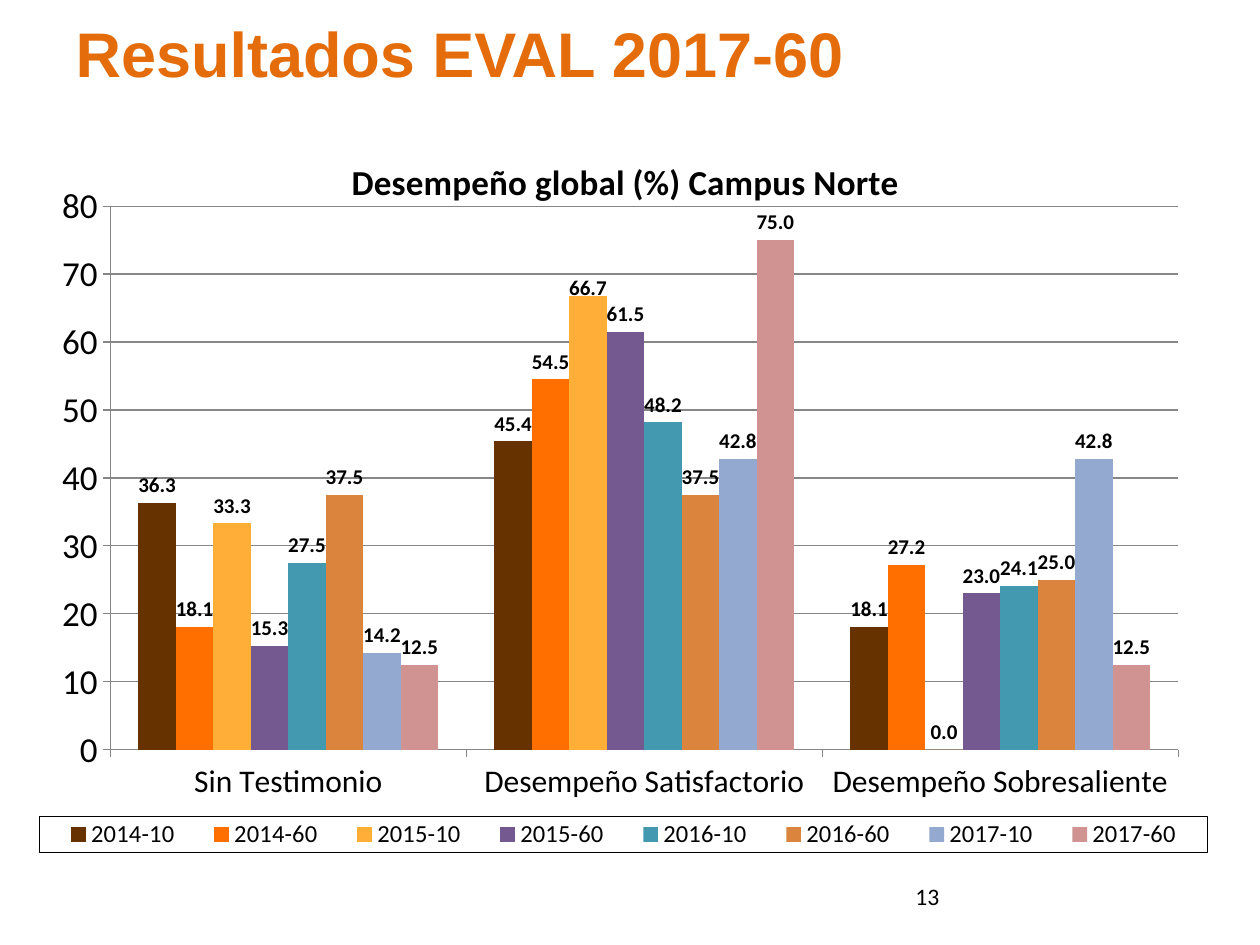
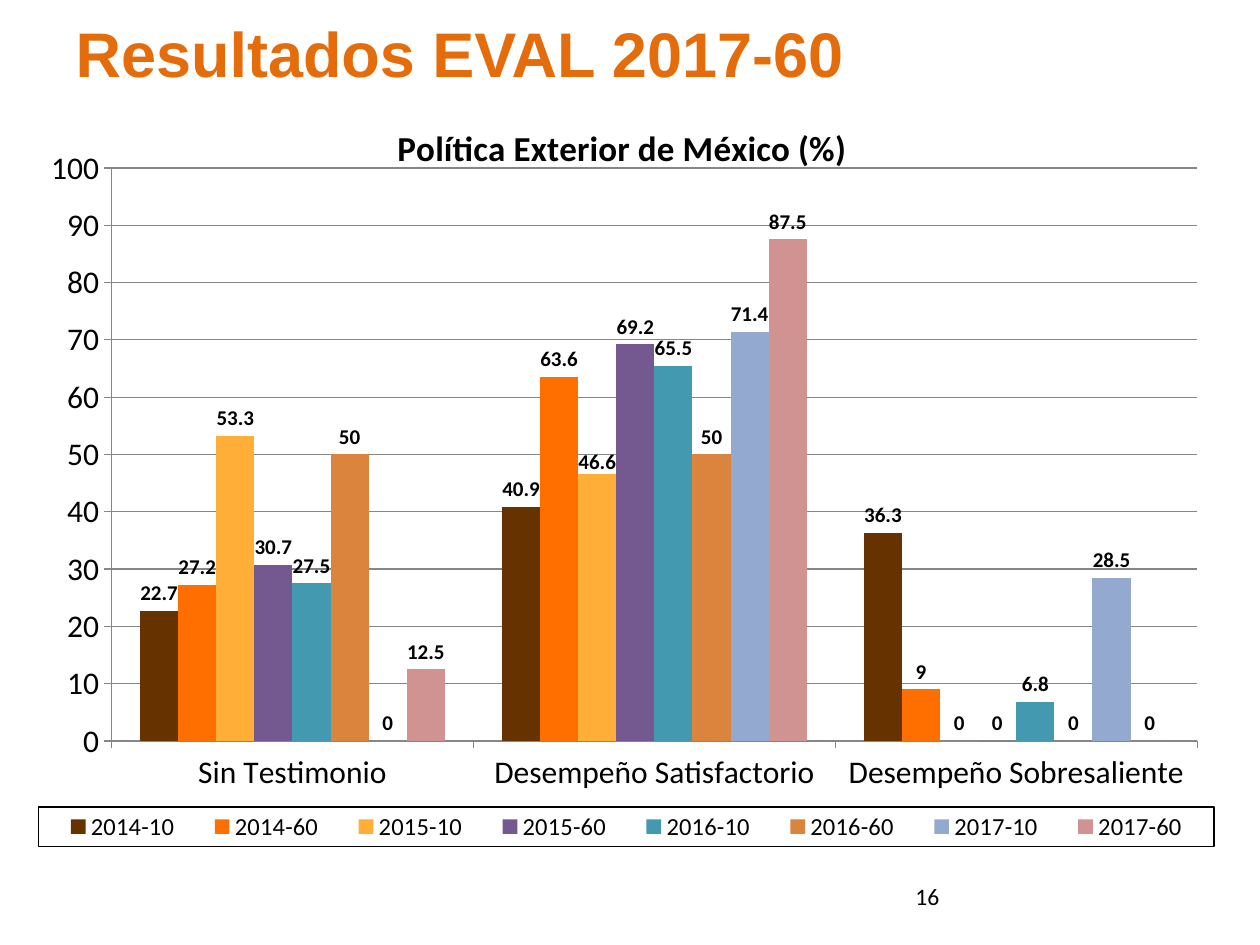
from pptx import Presentation
from pptx.chart.data import CategoryChartData
from pptx.dml.color import RGBColor
from pptx.enum import chart as ch, text as tx
from pptx.oxml import ns, xmlchemy as xm
from pptx.util import Pt

INK = {"title": "E46C0A", "text": "000000", "grid": "868686"}
TERMS = {"2014-10": "663300", "2014-60": "FF6F00", "2015-10": "FFAE37",
         "2015-60": "735990", "2016-10": "4299B0", "2016-60": "DB843D",
         "2017-10": "93A9CF", "2017-60": "D19392"}
LEVELS = ["Sin Testimonio", "Desempeño Satisfactorio", "Desempeño Sobresaliente"]
HEAD = "Resultados EVAL 2017-60"

SLIDES = [
    dict(page="13", name="Desempeño global (%) Campus Norte",
         box=(18.72, 72, 671.76, 428.4), top=80, size=20, form="0.0",
         plot=(0.066, 0.107, 0.909, 0.725), key=(0.006, 0.921, 0.994, 0.048),
         head=(0.266, 0.033), drop=0.012,
         rows=[(36.3, 18.1, 33.3, 15.3, 27.5, 37.5, 14.2, 12.5),
               (45.4, 54.5, 66.7, 61.5, 48.2, 37.5, 42.8, 75),
               (18.1, 27.2, 0, 23, 24.1, 25, 42.8, 12.5)]),
    dict(page="16", name="Política Exterior de México (%)",
         box=(18.72, 52.56, 682.56, 438.48), top=100, size=18, form="General",
         plot=(0.066, 0.099, 0.909, 0.747), key=(0.005, 0.932, 0.984, 0.051),
         head=(0.3, 0.032), drop=0.008,
         rows=[(22.7, 27.2, 53.3, 30.7, 27.5, 50, 0, 12.5),
               (40.9, 63.6, 46.6, 69.2, 65.5, 50, 71.4, 87.5),
               (36.3, 9, 0, 0, 6.8, 0, 28.5, 0)]),
]


def tint(name):
    """Return the colour for a hex string."""
    return RGBColor.from_string(name)


def style(font, size, bold=False, color=INK["text"], face="Calibri"):
    """Format a font."""
    font.name, font.size, font.bold = face, Pt(size), bold
    font.color.rgb = tint(color)


def place(part, spot, where, edge=True):
    """Give a chart part a manual layout as fractions of the chart."""
    for old in part.findall(ns.qn("c:layout")):
        part.remove(old)
    base = xm.OxmlElement("c:layout")
    man = xm.OxmlElement("c:manualLayout")
    base.append(man)
    pairs = []
    if part.tag == ns.qn("c:plotArea"):
        pairs.append(("layoutTarget", "inner"))
    if edge:
        pairs += [("xMode", "edge"), ("yMode", "edge")]
    pairs += zip("xywh", where)
    for tag, val in pairs:
        item = xm.OxmlElement("c:" + tag)
        item.set("val", str(val))
        man.append(item)
    part.insert(spot, base)


def title(slide, box):
    """Place and format the slide title."""
    shape = slide.shapes.title
    shape.left, shape.top, shape.width, shape.height = map(Pt, box)
    frame = shape.text_frame
    frame.text = HEAD
    frame.vertical_anchor = tx.MSO_ANCHOR.MIDDLE
    line = frame.paragraphs[0]
    line.alignment = tx.PP_ALIGN.LEFT
    style(line.runs[0].font, 36, True, INK["title"], "Arial")


def number(slide, box, page):
    """Write the page number."""
    frame = slide.shapes.add_textbox(*map(Pt, box)).text_frame
    frame.word_wrap = True
    frame.text = page
    style(frame.paragraphs[0].runs[0].font, 13.5)


def axes(chart, top, size):
    """Format both axes and the grid."""
    val, cat = chart.value_axis, chart.category_axis
    val.minimum_scale, val.maximum_scale, val.major_unit = 0, top, 10
    val.has_major_gridlines = True
    style(val.tick_labels.font, size)
    style(cat.tick_labels.font, 18)
    for part in (val, cat, val.major_gridlines):
        part.format.line.color.rgb = tint(INK["grid"])
        part.format.line.width = Pt(0.75)
    for axis in (val, cat):
        axis.major_tick_mark = ch.XL_TICK_MARK.OUTSIDE


def bars(plot, form):
    """Colour the series and label their values."""
    plot.gap_width, plot.overlap, plot.vary_by_categories = 150, 0, False
    for row, color in zip(plot.series, TERMS.values()):
        row.format.fill.solid()
        row.format.fill.fore_color.rgb = tint(color)
        row.invert_if_negative = False
        tags = row.data_labels
        tags.show_value = True
        tags.position = ch.XL_LABEL_POSITION.OUTSIDE_END
        tags.number_format, tags.number_format_is_linked = form, False
        style(tags.font, 12, True)


def graph(slide, data):
    """Build the clustered column chart with its title and legend."""
    feed = CategoryChartData()
    feed.categories = LEVELS
    for term, vals in zip(TERMS, zip(*data["rows"])):
        feed.add_series(term, vals)
    chart = slide.shapes.add_chart(ch.XL_CHART_TYPE.COLUMN_CLUSTERED,
                                   *map(Pt, data["box"]), feed).chart
    style(chart.font, 10)
    chart.has_title = chart.has_legend = True
    frame = chart.chart_title.text_frame
    frame.text = data["name"]
    style(frame.paragraphs[0].runs[0].font, 20, True)
    chart.legend.position = ch.XL_LEGEND_POSITION.BOTTOM
    chart.legend.include_in_layout = False
    style(chart.legend.font, 14)
    axes(chart, data["top"], data["size"])
    bars(chart.plots[0], data["form"])
    tag = chart.plots[0].series[2].points[1].data_label
    tag.position = ch.XL_LABEL_POSITION.OUTSIDE_END
    style(tag.font, 12, True)
    find = chart.element.xpath
    place(find("c:chart/c:plotArea")[0], 0, data["plot"])
    place(find("c:chart/c:title")[0], 1, data["head"])
    place(find(".//c:dLbl")[0], 1, (0, data["drop"]), False)
    key = find("c:chart/c:legend")[0]
    place(key, 1, data["key"])
    frame_line(key)


def frame_line(key):
    """Draw a thin outline around the legend."""
    look = xm.OxmlElement("c:spPr")
    line = xm.OxmlElement("a:ln")
    line.set("w", str(Pt(0.75)))
    fill = xm.OxmlElement("a:solidFill")
    color = xm.OxmlElement("a:srgbClr")
    color.set("val", INK["text"])
    fill.append(color)
    line.append(fill)
    look.append(line)
    key.find(ns.qn("c:txPr")).addprevious(look)


def main():
    """Build and save the slides."""
    deck = Presentation()
    deck.slide_width, deck.slide_height = Pt(720), Pt(540)
    for data in SLIDES:
        slide = deck.slides.add_slide(deck.slide_layouts[5])
        title(slide, (36, 0, 648, 60))
        number(slide, (516, 500.4, 168, 28.8), data["page"])
        graph(slide, data)
    deck.save("out.pptx")


if __name__ == "__main__":
    main()
